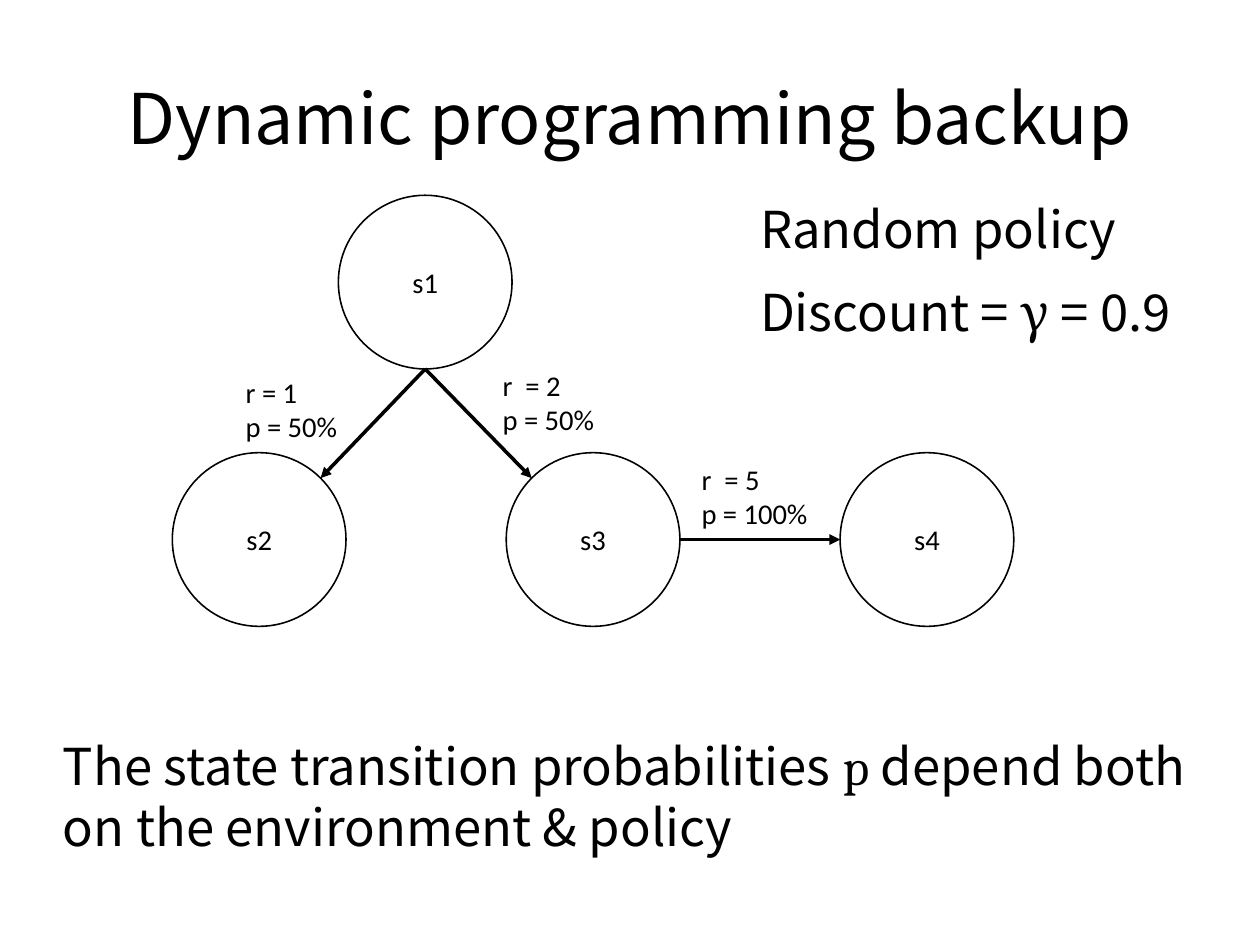
from dataclasses import dataclass
from math import cos, pi, sin

from lxml.etree import SubElement
from pptx import Presentation
from pptx.dml.color import RGBColor
from pptx.enum.shapes import MSO_CONNECTOR as Line, MSO_SHAPE as Shape
from pptx.enum.text import MSO_ANCHOR as Anchor, PP_ALIGN as Align
from pptx.oxml.ns import qn
from pptx.util import Cm, Pt

BLACK = RGBColor(0, 0, 0)
SANS, SERIF, LABEL = "Noto Sans CJK JP", "Cambria", "Calibri"
SIZE = 3.86
LEFT, STEP, ROW = 3.83, 7.42, 10.06
EAST, SOUTH = 0, pi / 2

Run = tuple[str, str]
Para = list[Run]


@dataclass
class State:
    name: str
    left: float
    top: float

    def rim(self, angle: float) -> tuple[float, float]:
        """Point on the circle, angle clockwise from the right, in cm."""
        half = SIZE / 2
        return (self.left + half * (1 + cos(angle)),
                self.top + half * (1 + sin(angle)))


@dataclass
class Step:
    start: State
    leave: float
    end: State
    enter: float
    paras: list[Para]
    left: float
    top: float


@dataclass
class Block:
    left: float
    top: float
    width: float
    height: float
    paras: list[Para]
    size: int = 32
    before: float = 14.2
    align: Align = Align.LEFT
    anchor: Anchor = Anchor.TOP
    inset: bool = False


def write(frame, paras: list[Para], size: int, align: Align,
          before: float = 0) -> None:
    for i, runs in enumerate(paras):
        para = frame.paragraphs[0] if i == 0 else frame.add_paragraph()
        para.alignment = align
        para.space_before = Pt(before)
        for text, face in runs:
            run = para.add_run()
            run.text = text
            run.font.color.rgb = BLACK
            for key, value in {"name": face, "size": Pt(size)}.items():
                setattr(run.font, key, value)


def add_block(slide, block: Block) -> None:
    box = slide.shapes.add_textbox(Cm(block.left), Cm(block.top),
                                   Cm(block.width), Cm(block.height))
    frame = box.text_frame
    style = {"word_wrap": True, "vertical_anchor": block.anchor}
    if not block.inset:
        style |= {f"margin_{side}": 0
                  for side in ("left", "top", "right", "bottom")}
    for key, value in style.items():
        setattr(frame, key, value)
    write(frame, block.paras, block.size, block.align, block.before)


def add_state(slide, state: State) -> None:
    disc = slide.shapes.add_shape(Shape.OVAL, Cm(state.left), Cm(state.top),
                                  Cm(SIZE), Cm(SIZE))
    disc.shadow.inherit = False
    disc.fill.background()
    disc.line.color.rgb = BLACK
    disc.line.width = Pt(1)
    disc.text_frame.vertical_anchor = Anchor.MIDDLE
    write(disc.text_frame, [[(state.name, LABEL)]], 18, Align.CENTER)


def add_step(slide, step: Step) -> None:
    ends = step.start.rim(step.leave) + step.end.rim(step.enter)
    arrow = slide.shapes.add_connector(Line.STRAIGHT, *map(Cm, ends))
    arrow.line.color.rgb = BLACK
    arrow.line.width = Pt(2.25)
    SubElement(arrow.line._get_or_add_ln(), qn("a:tailEnd"), type="triangle")
    SubElement(arrow._element.spPr, qn("a:effectLst"))
    add_block(slide, Block(step.left, step.top, 3.07, 1.8, step.paras,
                           size=18, before=0, inset=True))


def label(*lines: str) -> list[Para]:
    return [[(line, LABEL)] for line in lines]


S1 = State("s1", 7.52, 4.34)
S2, S3, S4 = (State(f"s{i + 2}", LEFT + i * STEP, ROW) for i in range(3))
STEPS = [
    Step(S1, SOUTH, S2, -pi / 4, label("r = 1", "p = 50%"), 5.21, 8.2),
    Step(S1, SOUTH, S3, -3 * pi / 4, label("r  = 2", "p = 50%"), 10.92, 8.05),
    Step(S3, EAST, S4, pi, label("r  = 5", "p = 100%"), 15.34, 10.13),
]
BLOCKS = [
    Block(1.4, 0.84, 25.2, 3.5, [[("Dynamic programming backup", SANS)]],
          size=44, before=0, align=Align.CENTER, anchor=Anchor.MIDDLE),
    Block(1.4, 16.33, 25.2, 3.68,
          [[("The state transition probabilities ", SANS), ("p", SERIF),
            (" depend both on the environment & policy", SANS)]]),
    Block(16.89, 4.39, 10.39, 3.86,
          [[("Random policy", SANS)],
           [("Discount = ", SANS), ("γ", SERIF), (" = 0.9", SANS)]]),
]


def main() -> None:
    deck = Presentation()
    deck.slide_width, deck.slide_height = Cm(28), Cm(21)
    slide = deck.slides.add_slide(deck.slide_layouts[6])
    for block in BLOCKS:
        add_block(slide, block)
    for state in (S1, S2, S3, S4):
        add_state(slide, state)
    for step in STEPS:
        add_step(slide, step)
    deck.save("out.pptx")


if __name__ == "__main__":
    main()
